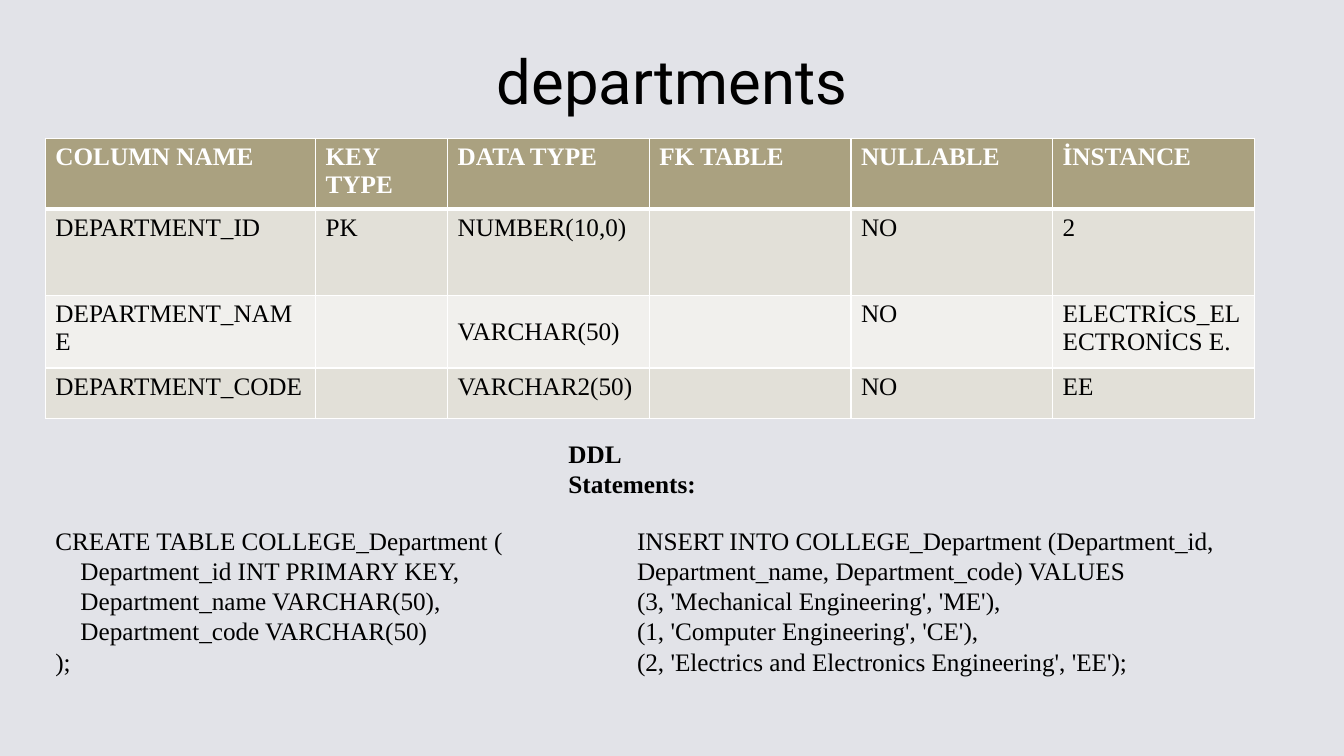
from dataclasses import dataclass

from lxml.etree import SubElement
from pptx import Presentation
from pptx.dml.color import RGBColor
from pptx.enum.text import MSO_ANCHOR as Anchor, MSO_AUTO_SIZE as AutoSize, PP_ALIGN as Align
from pptx.oxml.ns import qn
from pptx.util import Inches, Pt

COLORS = {
    "background": "E2E3E8",
    "text": "000000",
    "white": "FFFFFF",
    "header": "AAA180",
    "odd_row": "E2E0D8",
    "even_row": "F1F0ED",
}
SERIF = "Times New Roman"

COLUMN_WIDTHS = [2.68, 1.31, 2, 2, 2, 2]
ROW_HEIGHTS = [0.5, 0.86, 0.72, 0.5]
ROWS = [
    ["COLUMN NAME", "KEY TYPE", "DATA TYPE", "FK TABLE", "NULLABLE", "İNSTANCE"],
    ["DEPARTMENT_ID", "PK", "NUMBER(10,0)", "", "NO", "2"],
    ["DEPARTMENT_NAME", "", "VARCHAR(50)", "", "NO", "ELECTRİCS_ELECTRONİCS E."],
    ["DEPARTMENT_CODE", "", "VARCHAR2(50)", "", "NO", "EE"],
]
MIDDLE_CELL = (2, 2)


@dataclass
class TextBlock:
    left: float
    top: float
    width: float
    height: float
    lines: list[str]
    indented: tuple[int, ...] = ()
    bold: bool = False


BLOCKS = [
    TextBlock(5.54, 4.3, 1.96, 1.01, ["DDL Statements:"], bold=True),
    TextBlock(0.45, 5.16, 6.66, 1.62, [
        "CREATE TABLE COLLEGE_Department (",
        "Department_id INT PRIMARY KEY,",
        "Department_name VARCHAR(50),",
        "Department_code VARCHAR(50)",
        ");",
    ], indented=(1, 2, 3)),
    TextBlock(6.22, 5.16, 6.66, 1.62, [
        "INSERT INTO COLLEGE_Department (Department_id, Department_name, Department_code) VALUES",
        "(3, 'Mechanical Engineering', 'ME'),",
        "(1, 'Computer Engineering', 'CE'),",
        "(2, 'Electrics and Electronics Engineering', 'EE');",
    ]),
]


def rgb(name: str) -> RGBColor:
    return RGBColor.from_string(COLORS[name])


def write(para, text: str, *, size: float = 18, font: str = SERIF,
          color: str = "text", bold: bool = False) -> None:
    span = para.add_run()
    span.text = text
    span.font.size = Pt(size)
    span.font.name = font
    span.font.bold = bold
    span.font.color.rgb = rgb(color)


def add_title(page, text: str) -> None:
    box = page.shapes.add_textbox(Inches(0.92), Inches(0.12), Inches(11.5), Inches(1.1))
    frame = box.text_frame
    frame.word_wrap = True
    frame.vertical_anchor = Anchor.BOTTOM
    para = frame.paragraphs[0]
    para.alignment = Align.CENTER
    para.line_spacing = 0.9
    write(para, text, size=44, font="Roboto")


def add_block(page, block: TextBlock) -> None:
    box = page.shapes.add_textbox(Inches(block.left), Inches(block.top),
                                  Inches(block.width), Inches(block.height))
    frame = box.text_frame
    frame.word_wrap = True
    frame.auto_size = AutoSize.SHAPE_TO_FIT_TEXT
    for index, line in enumerate(block.lines):
        para = frame.add_paragraph() if index else frame.paragraphs[0]
        if index in block.indented:
            para._p.get_or_add_pPr().set("marL", str(Inches(0.25)))
        write(para, line, bold=block.bold)


def add_borders(cell, top: float, bottom: float) -> None:
    properties = cell._tc.get_or_add_tcPr()
    for side, width in {"lnL": 1, "lnR": 1, "lnT": top, "lnB": bottom}.items():
        line = SubElement(properties, qn(f"a:{side}"), w=str(Pt(width)))
        fill = SubElement(line, qn("a:solidFill"))
        SubElement(fill, qn("a:srgbClr"), val=COLORS["white"])


def add_columns_table(page) -> None:
    frame = page.shapes.add_table(len(ROWS), len(COLUMN_WIDTHS), Inches(0.45), Inches(1.37),
                                  Inches(sum(COLUMN_WIDTHS)), Inches(sum(ROW_HEIGHTS)))
    table = frame.table
    table.horz_banding = False
    for column, width in zip(table.columns, COLUMN_WIDTHS):
        column.width = Inches(width)
    for row, height in zip(table.rows, ROW_HEIGHTS):
        row.height = Inches(height)

    for r, texts in enumerate(ROWS):
        is_header = r == 0
        fill = "header" if is_header else "odd_row" if r % 2 else "even_row"
        for c, text in enumerate(texts):
            cell = table.cell(r, c)
            # A thick rule separates the header from the body
            add_borders(cell, top=3 if r == 1 else 1, bottom=3 if is_header else 1)
            cell.fill.solid()
            cell.fill.fore_color.rgb = rgb(fill)
            if text:
                write(cell.text_frame.paragraphs[0], text, bold=is_header,
                      color="white" if is_header else "text")

    middle = table.cell(*MIDDLE_CELL)
    middle.vertical_anchor = Anchor.MIDDLE
    middle.margin_top = middle.margin_bottom = Inches(0.07)


def main() -> None:
    deck = Presentation()
    deck.slide_width, deck.slide_height = Inches(13.33), Inches(7.5)
    page = deck.slides.add_slide(deck.slide_layouts[6])
    page.background.fill.solid()
    page.background.fill.fore_color.rgb = rgb("background")

    # Title and table of columns
    add_title(page, "departments")
    add_columns_table(page)

    # Statements below the table
    for block in BLOCKS:
        add_block(page, block)

    deck.save("out.pptx")


if __name__ == "__main__":
    main()
